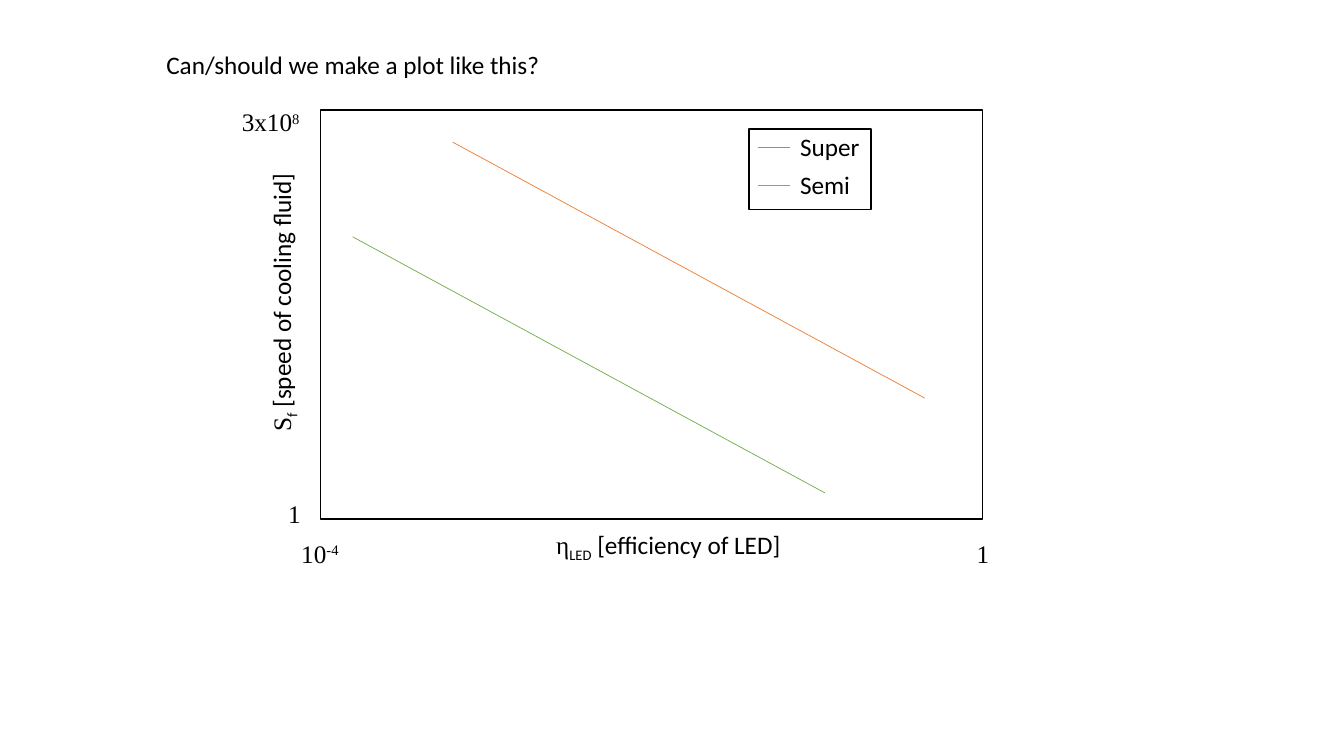
from pptx import Presentation
from pptx.dml.color import RGBColor
from pptx.enum import shapes, text
from pptx.oxml.ns import qn
from pptx.util import Pt

HEX = {"ink": "000000", "paper": "FFFFFF", "super": "70AD47", "semi": "ED7D31"}
SANS, SERIF = "Calibri", "Times New Roman"
SIZE, TALL = 18, 29

# Runs are (words, font, baseline shift in percent)
TITLE = [("Can/should we make a plot like this?", SANS, 0)]
HEAD = (111.6, 31.7, 284.4, TALL)
PLOT = (229, 78.5, 473, 292.3)
KEY = (535, 92.2, 87.1, 57.6)

# Labels are (left, top, width, turn, runs)
LABELS = [
    (390.2, 374.4, 179.3, 0, [("η", SERIF, 0), ("LED", SANS, -25),
                              (" [efficiency of LED]", SANS, 0)]),
    (100.1, 200.2, 201.6, 270, [("S", SERIF, 0), ("f", SANS, -25),
                                (" [speed of cooling fluid]", SANS, 0)]),
    (208.1, 380.9, 42.5, 0, [("10", SERIF, 0), ("-4", SERIF, 30)]),
    (690.5, 380.9, 23.8, 0, [("1", SERIF, 0)]),
    (165.6, 72.7, 56.9, 0, [("3x10", SERIF, 0), ("8", SERIF, 30)]),
    (198.7, 352.1, 23.8, 0, [("1", SERIF, 0)]),
]

# Series are (name, colour, start of line, label width)
SERIES = [("Super", "super", (252, 169.2), 57.6),
          ("Semi", "semi", (323.3, 101.5), 50.4)]
RUN, DROP = 337.3, 182.9
KEY_X, KEY_Y, KEY_LEN, KEY_STEP = 541.4, 105.1, 23, 27

deck = Presentation()
deck.slide_width, deck.slide_height = Pt(960), Pt(540)
slide = deck.slides.add_slide(deck.slide_layouts[5])


def shade(name):
    """Return the named colour."""
    return RGBColor.from_string(HEX[name])


def write(shape, runs):
    """Fill a shape with one left-aligned line of styled runs."""
    frame = shape.text_frame
    frame.word_wrap = False
    frame.auto_size = text.MSO_AUTO_SIZE.NONE
    frame.vertical_anchor = text.MSO_ANCHOR.TOP
    line = frame.paragraphs[0]
    line.alignment = text.PP_ALIGN.LEFT
    for words, face, shift in runs:
        run = line.add_run()
        run.text = words
        run.font.name, run.font.size = face, Pt(SIZE)
        run.font.color.rgb = shade("ink")
        if shift:
            run.font._element.set("baseline", str(shift * 1000))


def label(left, top, width, turn, runs):
    """Add a text box, turned by the given angle."""
    box = slide.shapes.add_textbox(Pt(left), Pt(top), Pt(width), Pt(TALL))
    box.rotation = turn
    write(box, runs)


def frame(area):
    """Add a white box with a black edge."""
    box = slide.shapes.add_shape(shapes.MSO_SHAPE.RECTANGLE, *map(Pt, area))
    box.shadow.inherit = False
    box.fill.solid()
    box.fill.fore_color.rgb = shade("paper")
    box.line.color.rgb = shade("ink")
    box.line.width = Pt(1)


def stroke(x, y, wide, drop, tint):
    """Add a thin straight line without a shadow."""
    line = slide.shapes.add_connector(
        shapes.MSO_CONNECTOR.STRAIGHT, Pt(x), Pt(y), Pt(x + wide), Pt(y + drop))
    line.line.color.rgb = shade(tint)
    line.line.width = Pt(0.5)
    props = line._element.spPr
    props.append(props.makeelement(qn("a:effectLst"), {}))


title = slide.shapes.title
title.left, title.top, title.width, title.height = map(Pt, HEAD)
write(title, TITLE)

frame(PLOT)
for item in LABELS:
    label(*item)
for name, tint, start, wide in SERIES:
    stroke(*start, RUN, DROP, tint)

frame(KEY)
for row, (name, tint, start, wide) in enumerate(SERIES):
    y = KEY_Y + row * KEY_STEP
    stroke(KEY_X, y, KEY_LEN, 0, tint)
    label(KEY_X + KEY_LEN, y - TALL / 2, wide, 0, [(name, SANS, 0)])

deck.save("out.pptx")
